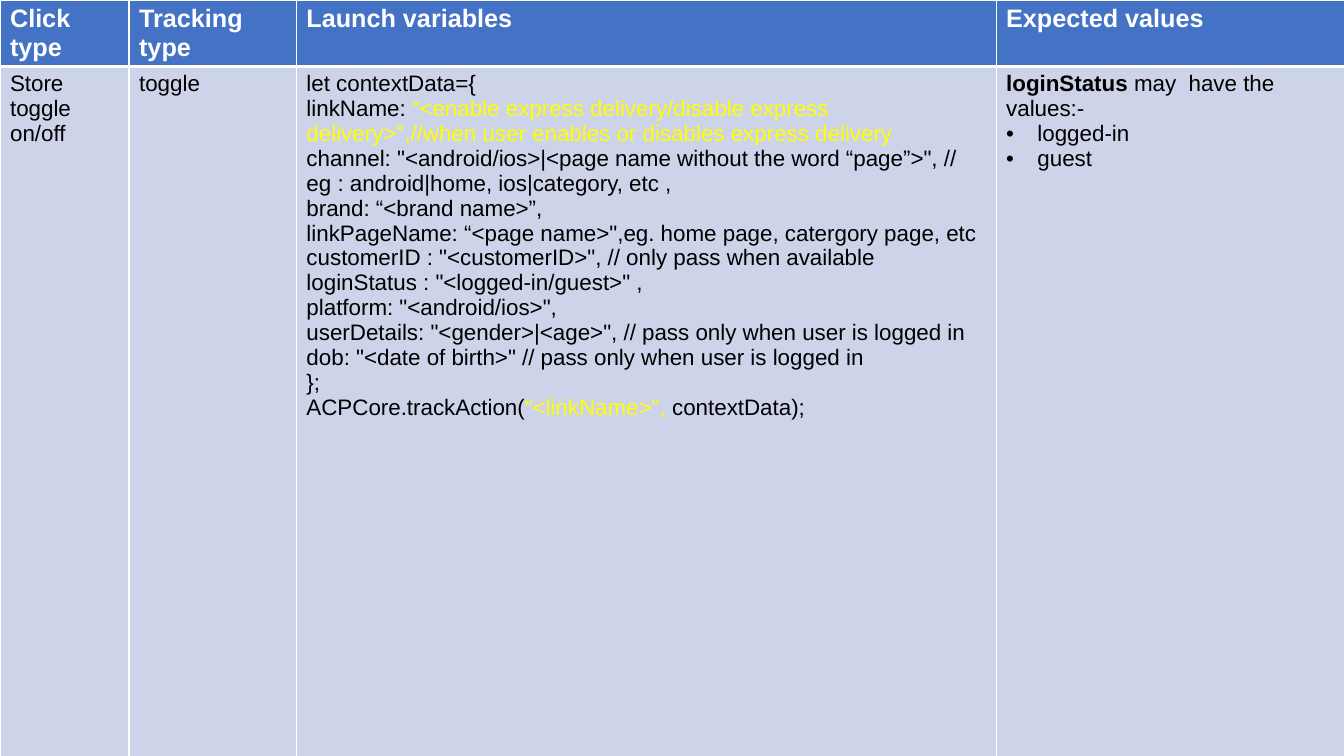
import pptx
import pptx.dml.color
import pptx.oxml
import pptx.oxml.ns
import pptx.util
from pptx.util import Inches

COLORS = {
    "header": "4472C4",
    "body": "CDD4EA",
    "border": "FFFFFF",
    "header_text": "FFFFFF",
    "text": "000000",
    "highlight": "FFFF00",
}
FONT = "Arial"
COLUMN_WIDTHS = [1.28, 1.66, 6.94, 3.46]
ROW_HEIGHTS = [0.54, 6.89]
HEADINGS = ["Click  type", "Tracking type", "Launch variables", "Expected values"]

# Each paragraph is a list of (text, format) runs.
LAUNCH_VARIABLES = [
    [("let contextData={", {})],
    [("linkName: ", {}),
     ('“<enable express delivery/disable express delivery>",'
      "//when user enables or disables express delivery", {"color": "highlight"})],
    [('channel: "<android/ios>|<page name without the word “page”>", '
      "// eg : android|home, ios|category, etc ,", {})],
    [("brand: “<brand name>”,", {})],
    [('linkPageName: “<page name>",eg. home page, catergory page, etc', {})],
    [('customerID : "<customerID>", // only pass when available', {})],
    [('loginStatus : "<logged-in/guest>" ,\n'
      'platform: "<android/ios>",\n'
      'userDetails: "<gender>|<age>", // pass only when user is logged in\n'
      'dob: "<date of birth>" // pass only when user is logged in', {})],
    [("};", {})],
    [("ACPCore.trackAction(", {}),
     ('“<linkName>", ', {"color": "highlight"}),
     ("contextData);", {})],
]
LOGIN_STATUS = [[("loginStatus ", {"bold": True}), ("may  have the values:-", {})]]
LOGIN_VALUES = ["logged-in", "guest"]


def rgb(name):
    return pptx.dml.color.RGBColor.from_string(COLORS[name])


def xml_element(markup):
    """Parse one DrawingML element written without its namespace declaration."""
    tag, rest = markup.split(" ", 1)
    return pptx.oxml.parse_xml(f"{tag} {pptx.oxml.ns.nsdecls('a')} {rest}")


def write(paragraph, text, size=16, color="text", bold=False):
    """Append text to a paragraph, turning newlines into line breaks."""
    for index, line in enumerate(text.split("\n")):
        if index:
            paragraph.add_line_break()
        run = paragraph.add_run()
        run.text = line
        run.font.name = FONT
        run.font.size = pptx.util.Pt(size)
        run.font.bold = bold
        run.font.color.rgb = rgb(color)


def next_paragraph(cell):
    first = cell.text_frame.paragraphs[0]
    return cell.text_frame.add_paragraph() if first.runs else first


def write_paragraphs(cell, paragraphs):
    for runs in paragraphs:
        paragraph = next_paragraph(cell)
        for text, style in runs:
            write(paragraph, text, **style)


def write_bullet(cell, text):
    paragraph = next_paragraph(cell)
    properties = paragraph._p.get_or_add_pPr()
    properties.set("marL", str(Inches(0.31)))
    properties.set("indent", str(-Inches(0.31)))
    properties.append(xml_element(f'<a:buFont typeface="{FONT}"/>'))
    properties.append(xml_element('<a:buChar char="•"/>'))
    write(paragraph, text)


def format_cell(cell, fill, top, bottom):
    """Set margins, fill and borders; top and bottom are widths in points."""
    cell.margin_left = cell.margin_right = Inches(0.1)
    cell.margin_top = cell.margin_bottom = Inches(0.05)
    cell.fill.solid()
    cell.fill.fore_color.rgb = rgb(fill)
    borders = {"lnL": 1, "lnR": 1, "lnT": top, "lnB": bottom}
    for index, (side, width) in enumerate(borders.items()):
        line = xml_element(
            f'<a:{side} w="{pptx.util.Pt(width)}"><a:solidFill>'
            f'<a:srgbClr val="{COLORS["border"]}"/></a:solidFill></a:{side}>')
        cell._tc.get_or_add_tcPr().insert(index, line)


def add_tracking_table(slide):
    table = slide.shapes.add_table(
        len(ROW_HEIGHTS), len(COLUMN_WIDTHS), Inches(0), Inches(0),
        Inches(sum(COLUMN_WIDTHS)), Inches(sum(ROW_HEIGHTS))).table
    table.horz_banding = False
    for column, width in zip(table.columns, COLUMN_WIDTHS):
        column.width = Inches(width)
    for row, height in zip(table.rows, ROW_HEIGHTS):
        row.height = Inches(height)

    header, body = (list(row.cells) for row in table.rows)
    for cell, heading in zip(header, HEADINGS):
        format_cell(cell, "header", top=1, bottom=3)
        write(next_paragraph(cell), heading, size=18, color="header_text", bold=True)
    for cell in body:
        format_cell(cell, "body", top=3, bottom=1)

    click_type, tracking_type, launch_variables, expected_values = body
    write(next_paragraph(click_type), "Store toggle on/off")
    write(next_paragraph(tracking_type), "toggle")
    write_paragraphs(launch_variables, LAUNCH_VARIABLES)
    write_paragraphs(expected_values, LOGIN_STATUS)
    for value in LOGIN_VALUES:
        write_bullet(expected_values, value)


def main():
    presentation = pptx.Presentation()
    presentation.slide_width = Inches(13.33)
    presentation.slide_height = Inches(7.5)
    slide = presentation.slides.add_slide(presentation.slide_layouts[6])
    add_tracking_table(slide)
    presentation.save("out.pptx")


if __name__ == "__main__":
    main()
